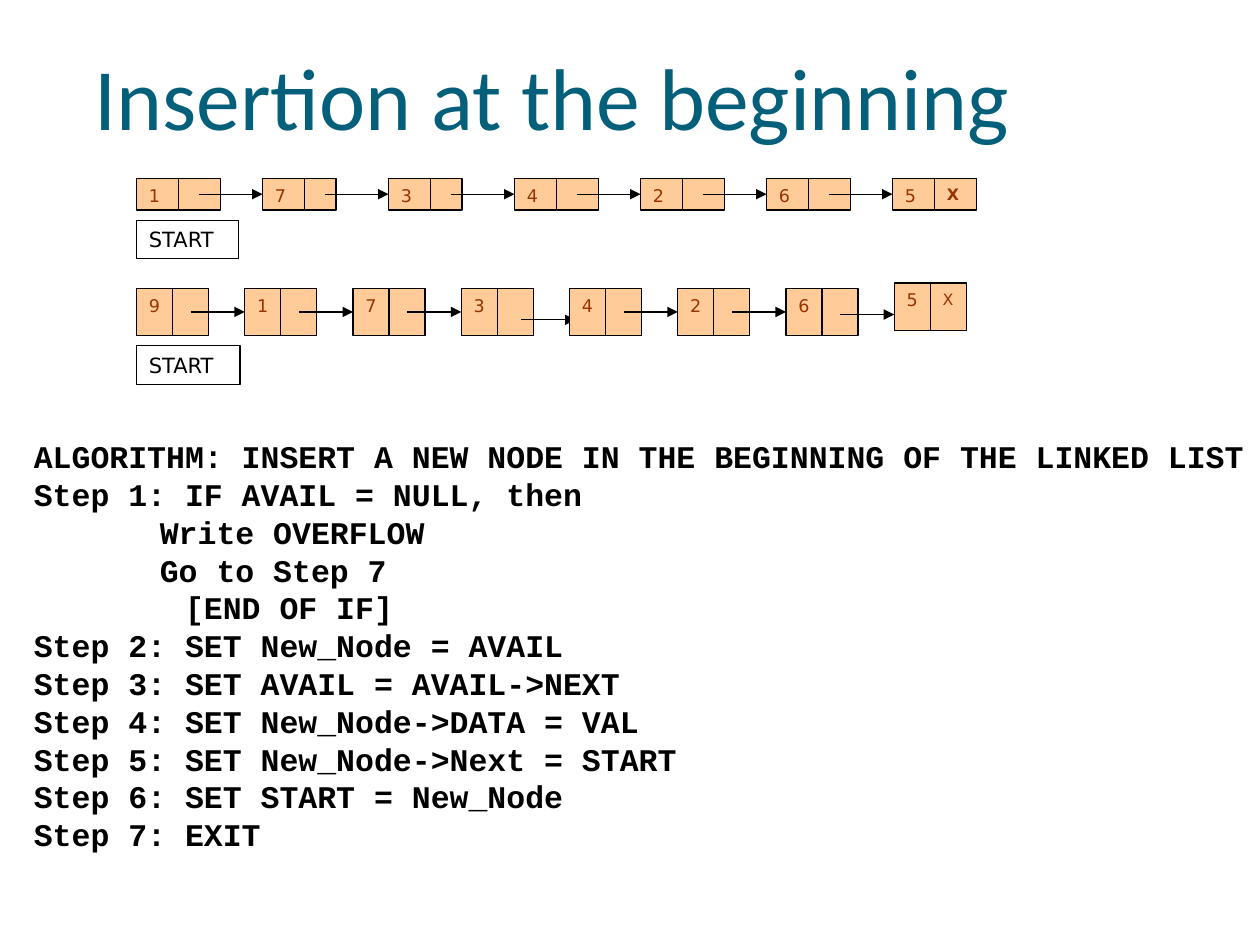
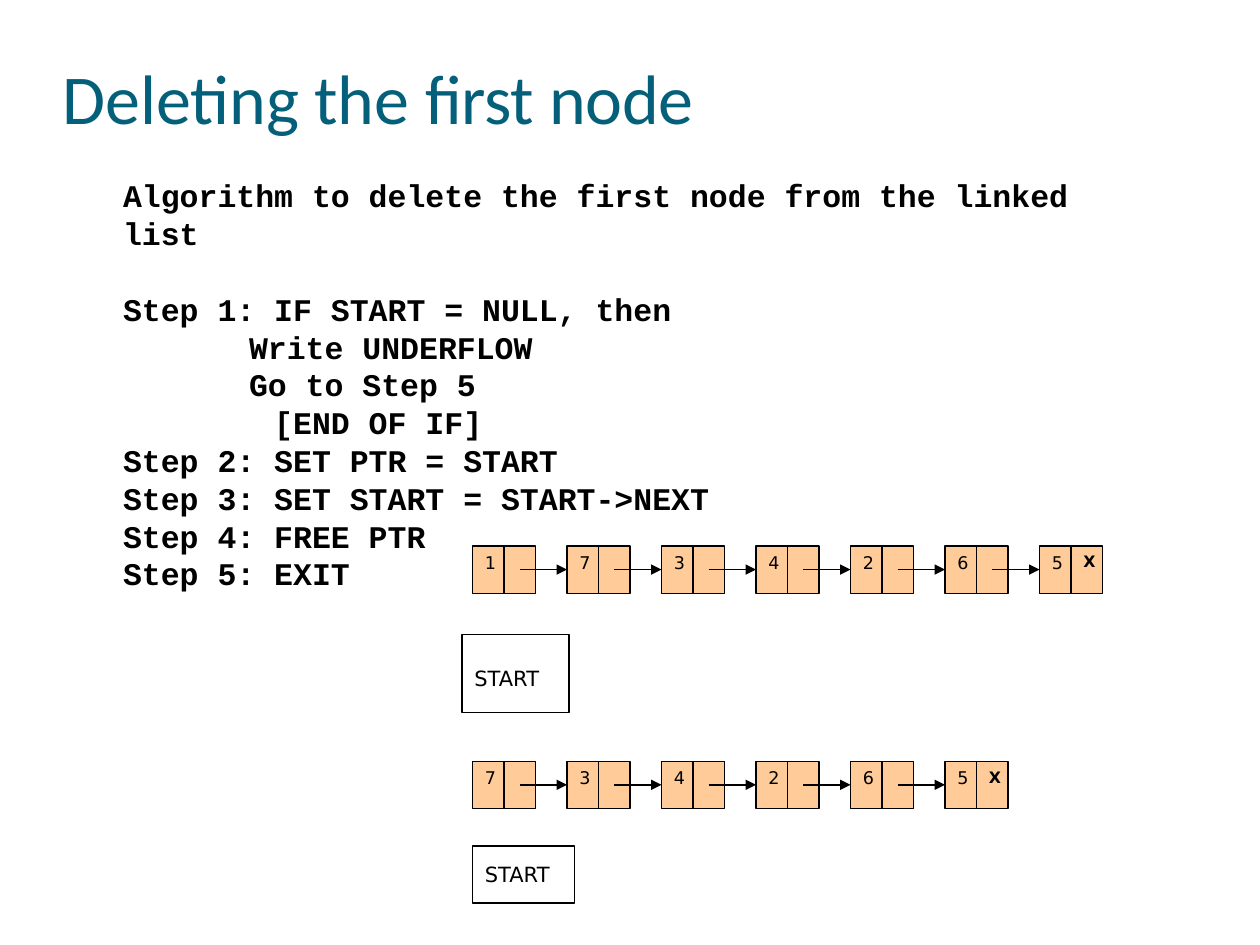
from lxml import etree
from pptx import Presentation
from pptx.dml.color import RGBColor
from pptx.enum.shapes import MSO_CONNECTOR, MSO_SHAPE
from pptx.enum.text import MSO_ANCHOR, PP_ALIGN
from pptx.oxml.ns import qn
from pptx.util import Pt

BLACK, TEAL, PEACH, RUST = "000000", "04607A", "FFCC99", "993300"
TITLE_FONT, CODE_FONT, NODE_FONT = "Calibri", "Courier New", "DejaVu Sans"
LINE_WIDTH = 0.75
CODE_SIZE, CODE_GAP = 18, 21.6

SLIDES = [
    {
        "title": {
            "box": (54, 23.75, 525.6, 62), "size": 50,
            "runs": [("Insertion ", 0), ("at ", -20), ("the ", 0), ("beginning", -10)],
        },
        "code": {
            "box": (12.25, 246.25, 708, 269.25), "gap_before": None,
            "lines": [
                "ALGORITHM: INSERT A NEW NODE IN THE BEGINNING OF THE LINKED LIST",
                "Step 1: IF AVAIL = NULL, then",
                "\t\tWrite OVERFLOW",
                "\t\tGo to Step 7",
                "        [END OF IF]",
                "Step 2: SET New_Node = AVAIL",
                "Step 3: SET AVAIL = AVAIL->NEXT",
                "Step 4: SET New_Node->DATA = VAL",
                "Step 5: SET New_Node->Next = START",
                "Step 6: SET START = New_Node",
                "Step 7: EXIT",
            ],
        },
        "lists": [
            {"values": "1734265", "at": (78, 102), "pitch": 72, "height": 18,
             "color": RUST, "link_widths": {1: 18, 2: 18}},
            {"values": "9173426", "at": (78, 164.75), "pitch": 61.85, "height": 27,
             "color": RUST, "bold_end": False, "raised_end": ("5", 3),
             "arrow_shifts": {3: (3.5, 4.5), 6: (0, 1.5)}},
        ],
        "starts": [((78, 126, 58.25, 21.75), None), ((78, 197.5, 59.25, 22.25), None)],
    },
    {
        "title": {
            "box": (36, 30.25, 455.75, 49.75), "size": 40,
            "runs": [("Deleting ", -10), ("the ", 0), ("first ", -30), ("node", -10)],
        },
        "code": {
            "box": (63.25, 97.25, 579, 247), "gap_before": 1,
            "lines": [
                "Algorithm to delete the first node from the linked list",
                "Step 1: IF START = NULL, then",
                "\t\tWrite UNDERFLOW",
                "\t\tGo to Step 5",
                "        [END OF IF]",
                "Step 2: SET PTR = START",
                "Step 3: SET START = START->NEXT",
                "Step 4: FREE PTR",
                "Step 5: EXIT",
            ],
        },
        "lists": [
            {"values": "1734265", "at": (270, 312), "pitch": 54, "height": 27,
             "color": BLACK},
            {"values": "734265", "at": (270, 435), "pitch": 54, "height": 27,
             "color": BLACK},
        ],
        "starts": [((264, 362.5, 61.25, 44.75), 18), ((270, 483.5, 58.25, 32.5), None)],
    },
]


def rgb(color):
    return RGBColor.from_string(color)


def add_run(p, text, font, size, color, bold=False):
    r = p.add_run()
    r.text = text
    r.font.name = font
    r.font.size = Pt(size)
    r.font.bold = bold
    r.font.color.rgb = rgb(color)
    return r


def add_text_frame(slide, box):
    tf = slide.shapes.add_textbox(*map(Pt, box)).text_frame
    tf.word_wrap = True
    return tf


def add_title(slide, box, size, runs):
    tf = add_text_frame(slide, box)
    tf.margin_left = tf.margin_right = tf.margin_bottom = 0
    tf.margin_top = Pt(1)
    for text, tracking in runs:
        r = add_run(tf.paragraphs[0], text, TITLE_FONT, size, TEAL)
        r.font._element.set("spc", str(tracking))


def add_code(slide, box, lines, gap_before):
    tf = add_text_frame(slide, box)
    for i, line in enumerate(lines):
        p = tf.add_paragraph() if i else tf.paragraphs[0]
        if i == gap_before:
            p.space_before = Pt(CODE_GAP)
        add_run(p, line, CODE_FONT, CODE_SIZE, BLACK, True)


def add_box(slide, box, fill=None, anchor=MSO_ANCHOR.TOP):
    sp = slide.shapes.add_shape(MSO_SHAPE.RECTANGLE, *map(Pt, box))
    sp.shadow.inherit = False
    if fill:
        sp.fill.solid()
        sp.fill.fore_color.rgb = rgb(fill)
    else:
        sp.fill.background()
    sp.line.color.rgb = rgb(BLACK)
    sp.line.width = Pt(LINE_WIDTH)
    tf = sp.text_frame
    tf.vertical_anchor = anchor
    p = tf.paragraphs[0]
    p.alignment = PP_ALIGN.LEFT
    return p


def add_arrow(slide, x, y, length):
    cn = slide.shapes.add_connector(MSO_CONNECTOR.STRAIGHT, Pt(x), Pt(y), Pt(x + length), Pt(y))
    cn.line.color.rgb = rgb(BLACK)
    cn.line.width = Pt(LINE_WIDTH)
    etree.SubElement(cn.line._get_or_add_ln(), qn("a:tailEnd"), type="triangle")
    etree.SubElement(cn._element.spPr, qn("a:effectLst"))


def add_linked_list(slide, values, at, pitch, height, color, bold_end=True,
                    raised_end=None, link_widths={}, arrow_shifts={}):
    left, top = at
    cell = pitch / 3
    end_value, rise = raised_end or ("", 0)
    nodes = values + end_value
    last = len(nodes) - 1
    for i, value in enumerate(nodes):
        x = left + i * pitch
        y = top - rise if i == last else top
        p = add_box(slide, (x, y, cell, height), PEACH)
        add_run(p, value, NODE_FONT, 10, color)
        link = add_box(slide, (x + cell, y, link_widths.get(i, cell), height), PEACH)
        if i == last:
            add_run(link, "X", NODE_FONT, 9, color, bold_end)
        else:
            dx, dy = arrow_shifts.get(i, (0, 0))
            add_arrow(slide, x + pitch / 2 + dx, y + height / 2 + dy, pitch / 2)


def add_start(slide, box, space_size):
    p = add_box(slide, box, anchor=MSO_ANCHOR.MIDDLE)
    add_run(p, "START", NODE_FONT, 12, BLACK)
    if space_size:
        add_run(p, " ", NODE_FONT, space_size, BLACK)


def main():
    prs = Presentation()
    prs.slide_width, prs.slide_height = Pt(720), Pt(540)
    for content in SLIDES:
        slide = prs.slides.add_slide(prs.slide_layouts[6])
        add_title(slide, **content["title"])
        add_code(slide, **content["code"])
        for linked_list in content["lists"]:
            add_linked_list(slide, **linked_list)
        for box, space_size in content["starts"]:
            add_start(slide, box, space_size)
    prs.save("out.pptx")


if __name__ == "__main__":
    main()
